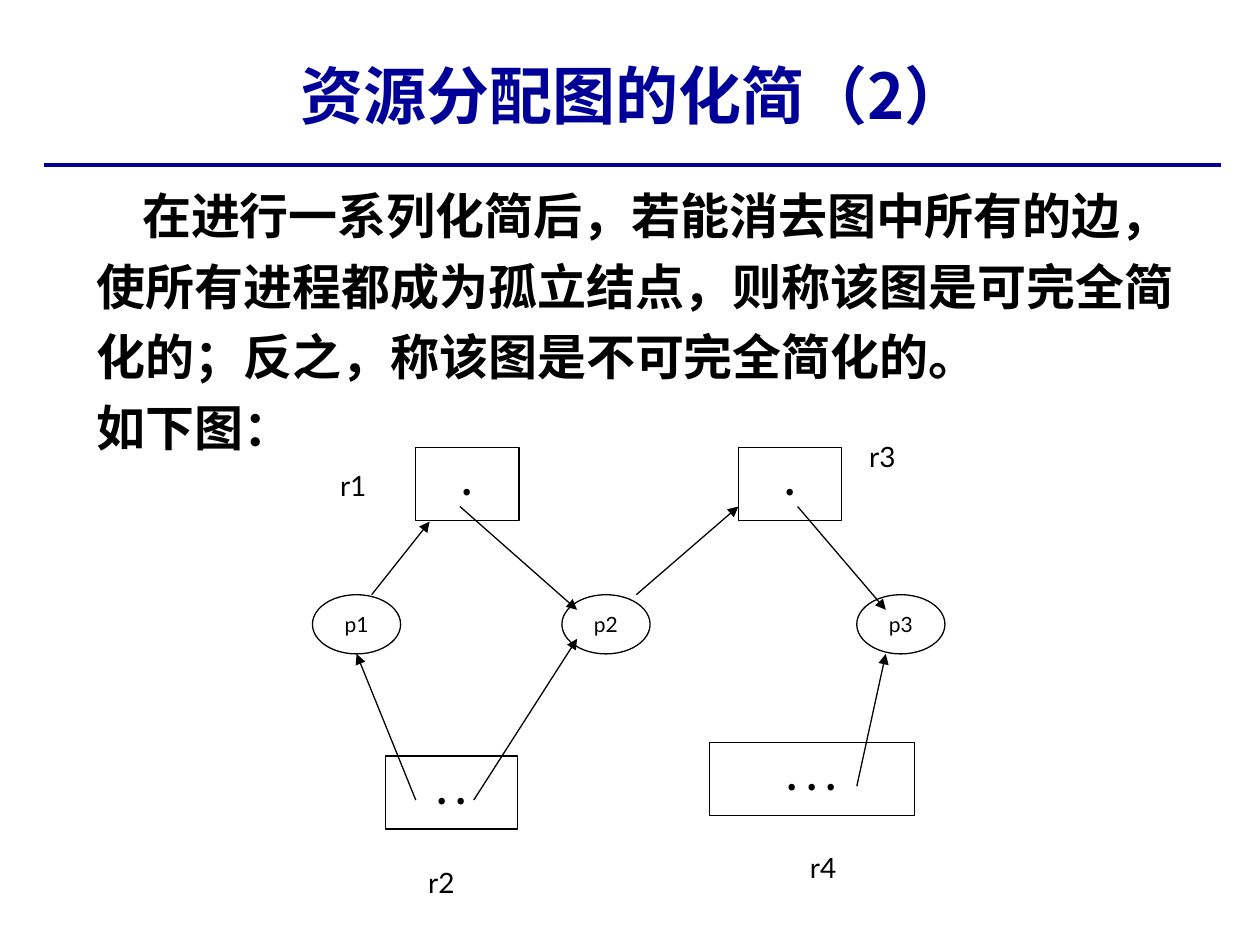
import dataclasses

import lxml.etree
import pptx
import pptx.dml.color
import pptx.enum.shapes
import pptx.enum.text
import pptx.oxml.ns
import pptx.util

PX = 9144  # EMU; 100 px to the inch
SHAPE = pptx.enum.shapes.MSO_SHAPE
ALIGN = pptx.enum.text.PP_ALIGN
ANCHOR = pptx.enum.text.MSO_ANCHOR
qn = pptx.oxml.ns.qn


@dataclasses.dataclass(frozen=True)
class Theme:
    accent: str = "000099"
    ink: str = "000000"
    paper: str = "FFFFFF"
    cjk: str = "Noto Sans CJK SC"
    latin: str = "Lato"
    title: int = 36
    body: int = 28
    dots: int = 20
    label: int = 16
    process: int = 12
    rule: float = 2.5
    thin: float = 0.75


THEME = Theme()

# Places in the diagram, relative to its box: left, top, width, height
PROCESSES = {"p1": (0, 128), "p2": (198, 128), "p3": (432, 128)}
PROCESS_SIZE = (70, 47)
RESOURCES = [
    ("r1", 1, (82, 11, 82, 58), (12, 23)),
    ("r3", 1, (338, 11, 82, 58), (432, 0)),
    ("r2", 2, (58, 256, 105, 58), (82, 338)),
    ("r4", 3, (315, 245, 163, 58), (385, 326)),
]
LABEL_SIZE = (58, 37)
EDGES = [
    ((117, 58), (210, 140)),  # r1 to p2
    ((128, 291), (210, 163)),  # r2 to p2
    ((82, 291), (35, 175)),  # r2 to p1
    ((385, 58), (455, 140)),  # r3 to p3
    ((47, 128), (93, 70)),  # p1 to r1
    ((257, 128), (338, 58)),  # p2 to r3
    ((432, 280), (455, 175)),  # r4 to p3
]


def emu(*lengths):
    return [pptx.util.Emu(n * PX) for n in lengths]


def rgb(color):
    return pptx.dml.color.RGBColor.from_string(color)


def add_run(p, text, size, font, color=THEME.ink, bold=False):
    r = p.add_run()
    r.text = text
    r.font.size = pptx.util.Pt(size)
    r.font.name = font
    r.font.bold = bold
    r.font.color.rgb = rgb(color)
    ea = lxml.etree.SubElement(r.font._element, qn("a:ea"))
    ea.set("typeface", font)


def add_text_box(s, box, anchor=ANCHOR.TOP):
    tf = s.shapes.add_textbox(*emu(*box)).text_frame
    tf.word_wrap = True
    tf.vertical_anchor = anchor
    return tf


def add_line(s, start, end, color, width, arrow=False):
    line = s.shapes.add_connector(
        pptx.enum.shapes.MSO_CONNECTOR.STRAIGHT, *emu(*start, *end))
    line.line.color.rgb = rgb(color)
    line.line.width = pptx.util.Pt(width)
    if arrow:
        ln = line.line._get_or_add_ln()
        lxml.etree.SubElement(ln, qn("a:tailEnd")).set("type", "triangle")
    lxml.etree.SubElement(line._element.spPr, qn("a:effectLst"))


def add_node(s, kind, box):
    """Add an outlined shape and return its empty, centred paragraph."""
    sp = s.shapes.add_shape(kind, *emu(*box))
    sp.shadow.inherit = False
    sp.fill.solid()
    sp.fill.fore_color.rgb = rgb(THEME.paper)
    sp.line.color.rgb = rgb(THEME.ink)
    sp.line.width = pptx.util.Pt(THEME.thin)
    tf = sp.text_frame
    tf.word_wrap = False
    tf.vertical_anchor = ANCHOR.MIDDLE
    p = tf.paragraphs[0]
    p.alignment = ALIGN.CENTER
    return p


def add_header(s, box):
    x, y, w, h = box
    add_line(s, (x, y + h), (x + w, y + h), THEME.accent, THEME.rule)
    tf = add_text_box(s, (x + 140, y, 656, 50), ANCHOR.BOTTOM)
    p = tf.paragraphs[0]
    p.alignment = ALIGN.CENTER
    add_run(p, "资源分配图的化简（2）", THEME.title, THEME.cjk, THEME.accent, True)


def add_body(s, box):
    tf = add_text_box(s, box)
    first, second = tf.paragraphs[0], tf.add_paragraph()
    first._p.get_or_add_pPr().set("indent", str(36 * PX))
    texts = (
        "在进行一系列化简后，若能消去图中所有的边，使所有进程都成为孤立结点，"
        "则称该图是可完全简化的；反之，称该图是不可完全简化的。",
        "如下图：",
    )
    for p, text in zip((first, second), texts):
        p.line_spacing = 1.2
        add_run(p, text, THEME.body, THEME.cjk, bold=True)


def add_allocation_graph(s, origin):
    def shift(point):
        return origin[0] + point[0], origin[1] + point[1]

    for name, place in PROCESSES.items():
        p = add_node(s, SHAPE.OVAL, shift(place) + PROCESS_SIZE)
        add_run(p, name, THEME.process, THEME.latin)
    for name, units, box, label in RESOURCES:
        p = add_node(s, SHAPE.RECTANGLE, shift(box) + box[2:])
        p.line_spacing = 0.95
        add_run(p, " ".join("." * units), THEME.dots, THEME.cjk, bold=True)
        tf = add_text_box(s, shift(label) + LABEL_SIZE)
        add_run(tf.paragraphs[0], name, THEME.label, THEME.latin)
    for start, end in EDGES:
        add_line(s, shift(start), shift(end), THEME.ink, THEME.thin, arrow=True)


def main():
    prs = pptx.Presentation()
    prs.slide_width, prs.slide_height = emu(1000, 750)
    s = prs.slides.add_slide(prs.slide_layouts[6])
    add_header(s, (35, 60, 934, 71))
    add_body(s, (67, 133, 890, 234))
    add_allocation_graph(s, (248, 344))
    prs.save("out.pptx")


if __name__ == "__main__":
    main()
